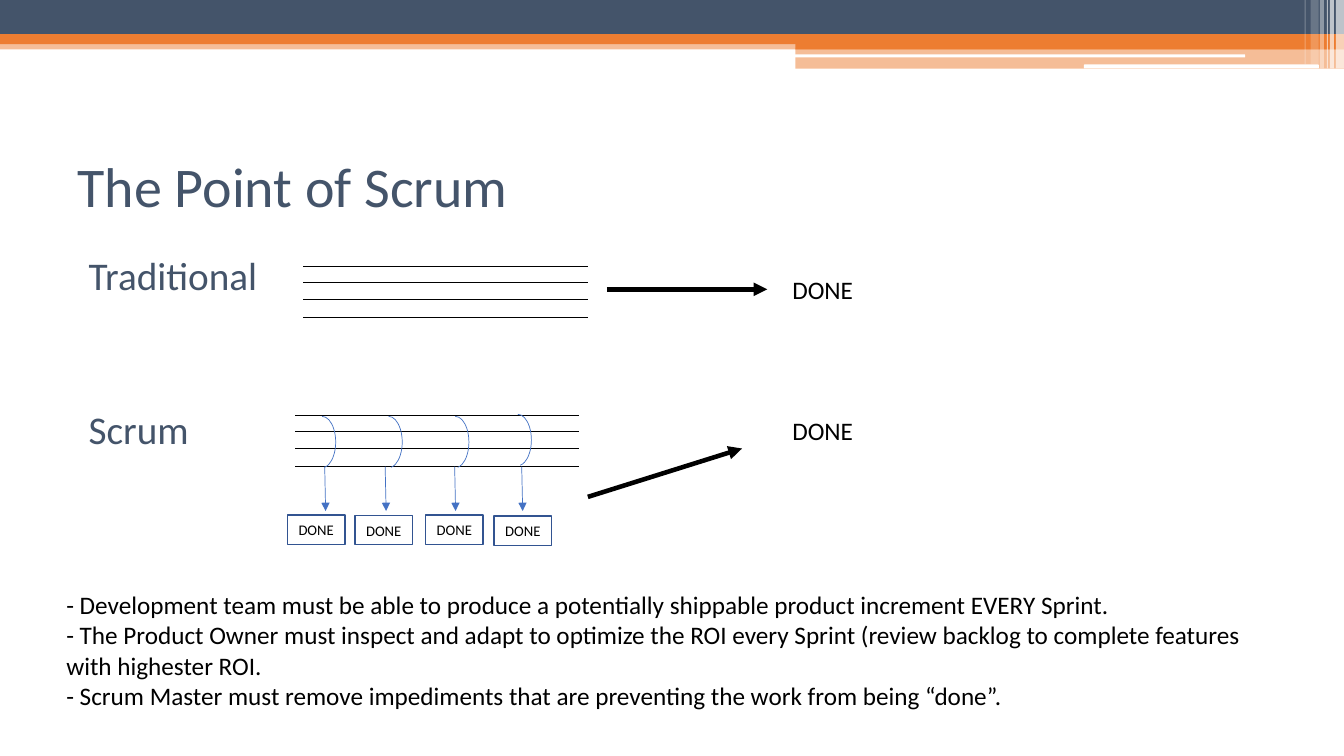
from dataclasses import dataclass
from pptx import Presentation, util as u
from pptx.dml.color import RGBColor
from pptx.enum import shapes, text
from pptx.oxml.ns import qn
from lxml import etree


@dataclass(frozen=True)
class Theme:
    font: str = "Calibri"
    navy: str = "44546A"
    orange: str = "ED7D31"
    blue: str = "4472C4"
    edge: str = "325491"
    black: str = "000000"
    white: str = "FFFFFF"
    title: float = 40
    label: float = 28
    body: float = 18
    small: float = 10.5
    thin: float = 0.5
    outline: float = 1
    thick: float = 3.25


theme = Theme()
prs = Presentation()
prs.slide_width, prs.slide_height = u.Inches(13.33), u.Inches(7.5)
col, row = prs.slide_width / 100, prs.slide_height / 100
slide = prs.slides.add_slide(prs.slide_layouts[5])


def add_shape(kind, x, y, w, h, fill=None, alpha=100, line=None, width=theme.outline):
    sp = slide.shapes.add_shape(kind, int(x * col), int(y * row), int(w * col), int(h * row))
    sp.shadow.inherit = False
    if fill:
        sp.fill.solid()
        sp.fill.fore_color.rgb = RGBColor.from_string(fill)
        if alpha < 100:
            color = sp._element.spPr.find(f"{qn('a:solidFill')}/{qn('a:srgbClr')}")
            etree.SubElement(color, qn("a:alpha"), val=str(alpha * 1000))
    else:
        sp.fill.background()
    if line:
        sp.line.color.rgb = RGBColor.from_string(line)
        sp.line.width = u.Pt(width)
    else:
        sp.line.fill.background()
    return sp


def add_line(x1, y1, x2, y2, color, width, arrow=False):
    cx = slide.shapes.add_connector(
        shapes.MSO_CONNECTOR.STRAIGHT, int(x1 * col), int(y1 * row), int(x2 * col), int(y2 * row))
    cx.line.color.rgb = RGBColor.from_string(color)
    cx.line.width = u.Pt(width)
    if arrow:
        etree.SubElement(cx.line._get_or_add_ln(), qn("a:tailEnd"), type="triangle")
    etree.SubElement(cx._element.spPr, qn("a:effectLst"))


rect = shapes.MSO_SHAPE.RECTANGLE
rounded = shapes.MSO_SHAPE.ROUNDED_RECTANGLE

bands = [
    (rect, 0, 5.33, 100, 1.2, theme.orange, 50),
    (rect, 0, 0, 100, 4.53, theme.navy, 100),
    (rect, 0, 4.53, 100, 1.33, theme.orange, 100),
    (rect, 59.19, 5.2, 40.81, 1.33, theme.orange, 100),
    (rect, 59.19, 6.4, 40.81, 2.67, theme.orange, 50),
    (rounded, 59.11, 7.2, 33.53, 0.4, theme.white, 100),
    (rounded, 80.65, 8.53, 17.48, 0.53, theme.white, 100),
]
for band in bands:
    add_shape(*band)

stripes = [
    (99.4, 0.6, 9.07, 65), (98.95, 0.3, 9.07, 65), (98.72, 0.08, 9.07, 60),
    (98.2, 0.3, 9.07, 40), (97.52, 0.6, 8.53, 20), (97.07, 0.08, 8.53, 30),
]
for x, w, h, alpha in stripes:
    add_shape(rect, x, 0, w, h, theme.white, alpha)

title = slide.shapes.title
title.left, title.top = int(5.03 * col), int(16.67 * row)
title.width, title.height = int(90 * col), int(15.6 * row)
tf = title.text_frame
tf.text = "The Point of Scrum"
tf.vertical_anchor = text.MSO_ANCHOR.MIDDLE
p = tf.paragraphs[0]
p.alignment = text.PP_ALIGN.LEFT
font = p.runs[0].font
font.name, font.size = theme.font, u.Pt(theme.title)
font.color.rgb = RGBColor.from_string(theme.navy)

for left, right, top in [(22.58, 43.74, 35.2), (21.98, 43.06, 54.93)]:
    for drop in (0, 2.13, 4.4, 6.8):
        add_line(left, top + drop, right, top + drop, theme.black, theme.thin)

add_line(45.16, 38.27, 57.09, 38.27, theme.black, theme.thick, True)
add_line(43.74, 65.73, 55.21, 59.33, theme.black, theme.thick, True)

sprints = [
    (22.95, 55.07, 24.16, 21.38, 68.13), (27.9, 55.07, 28.66, 26.41, 68.2),
    (32.86, 55.07, 33.83, 31.66, 68.13), (37.51, 54.8, 38.82, 36.76, 68.27),
]
for arc_x, arc_y, arrow_x, box_x, box_y in sprints:
    arc = add_shape(shapes.MSO_SHAPE.ARC, arc_x, arc_y, 2.03, 6.8, line=theme.blue, width=theme.thin)
    arc.adjustments[0], arc.adjustments[1] = 162, 50.74
    add_line(arrow_x, 61.73, arrow_x + 0.07, 67.6, theme.blue, theme.thin, True)
    box = add_shape(rect, box_x, box_y, 4.28, 3.87, line=theme.edge)
    tf = box.text_frame
    tf.text = "DONE"
    tf.word_wrap = False
    tf.vertical_anchor = text.MSO_ANCHOR.MIDDLE
    p = tf.paragraphs[0]
    p.alignment = text.PP_ALIGN.CENTER
    font = p.runs[0].font
    font.name, font.size = theme.font, u.Pt(theme.small)
    font.color.rgb = RGBColor.from_string(theme.black)

notes = [
    "- Development team must be able to produce a potentially shippable product increment EVERY Sprint.",
    "- The Product Owner must inspect and adapt to optimize the ROI every Sprint (review backlog to complete features with highester ROI.",
    "- Scrum Master must remove impediments that are preventing the work from being “done”.",
]
text_boxes = [
    (5.85, 32.6, 16, 7.6, ["Traditional"], theme.label, theme.navy),
    (5.85, 52.9, 16, 7.6, ["Scrum"], theme.label, theme.navy),
    (58.21, 35.6, 6.08, 5.33, ["DONE"], theme.body, theme.black),
    (58.21, 54.27, 6.08, 5.33, ["DONE"], theme.body, theme.black),
    (4.2, 77.33, 90.47, 17.47, notes, theme.body, theme.black),
]
for x, y, w, h, lines, size, color in text_boxes:
    sp = slide.shapes.add_textbox(int(x * col), int(y * row), int(w * col), int(h * row))
    tf = sp.text_frame
    tf.word_wrap = len(lines) > 1
    tf.text = "\n".join(lines)
    for p in tf.paragraphs:
        font = p.runs[0].font
        font.name, font.size = theme.font, u.Pt(size)
        font.color.rgb = RGBColor.from_string(color)

prs.save("out.pptx")
